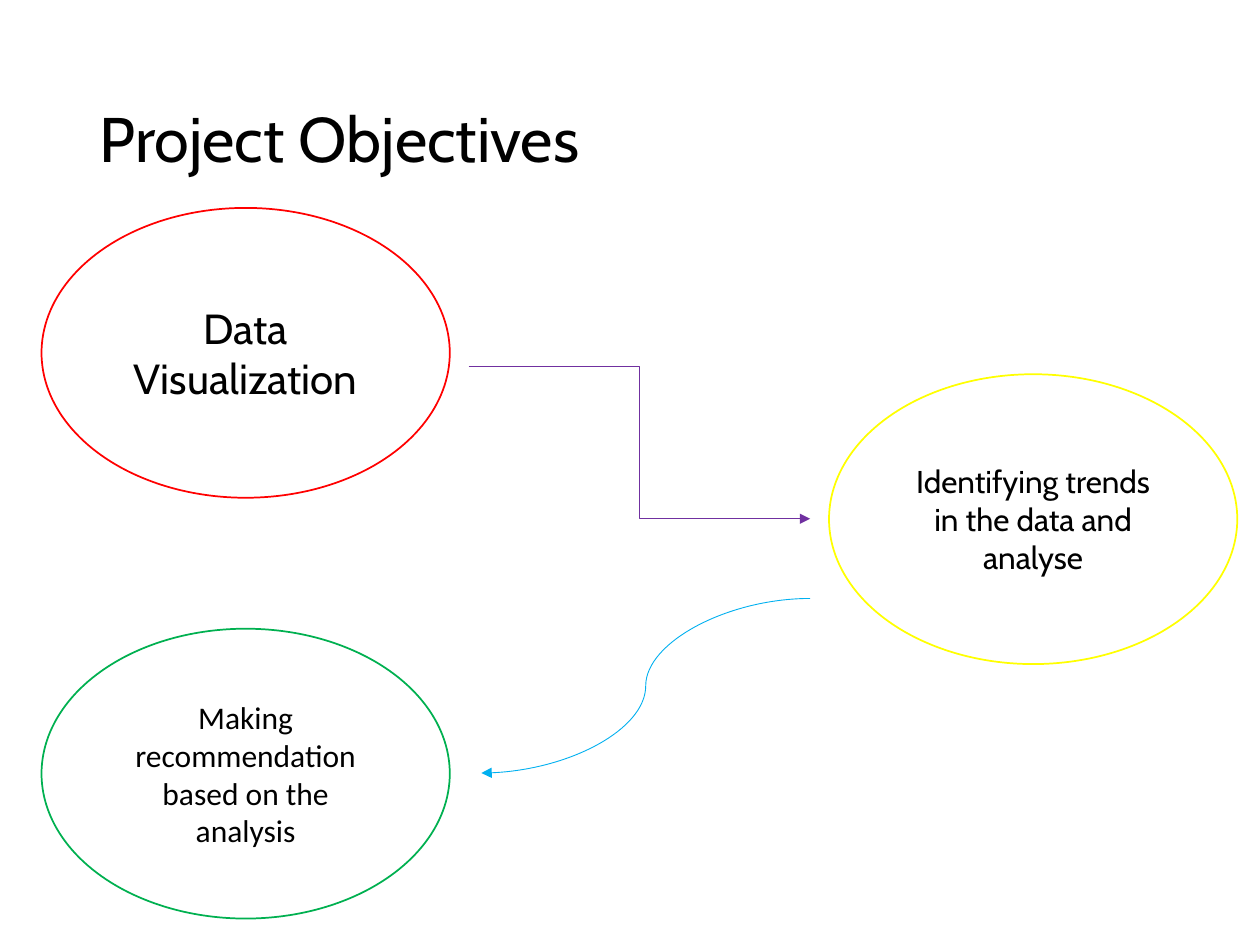
"""Build the Project Objectives slide: three ellipses joined by two arrows."""
import lxml.etree
import pptx
import pptx.dml.color
import pptx.enum.shapes
import pptx.enum.text
import pptx.oxml.ns
import pptx.util

THEME = {
    "text": "000000", "fill": "FFFFFF",
    "red": "FF0000", "yellow": "FFFF00", "green": "00B050",
    "purple": "7030A0", "blue": "00B0F0",
    "title": 36, "large": 24, "body": 18, "outline": 1, "arrow": 0.5,
}
ALIGN = pptx.enum.text.PP_ALIGN
CONNECTOR = pptx.enum.shapes.MSO_CONNECTOR


def rgb(name):
    return pptx.dml.color.RGBColor.from_string(THEME[name])


def write(sp, text, size="body", font="Cabin", align=ALIGN.CENTER, spacing=1.0):
    tf = sp.text_frame
    tf.word_wrap = True
    tf.vertical_anchor = pptx.enum.text.MSO_ANCHOR.MIDDLE
    p = tf.paragraphs[0]
    p.alignment = align
    p.line_spacing = spacing
    r = p.add_run()
    r.text = text
    r.font.name = font
    r.font.size = pptx.util.Pt(THEME[size])
    r.font.color.rgb = rgb("text")


prs = pptx.Presentation()
prs.slide_width = pptx.util.Inches(10)
prs.slide_height = pptx.util.Inches(7.5)
col, row = prs.slide_width / 100, prs.slide_height / 100
s = prs.slides.add_slide(prs.slide_layouts[5])

title = s.shapes.title
title.left, title.top = int(6.9 * col), int(5.33 * row)
title.width, title.height = int(86.2 * col), int(19.33 * row)
write(title, "Project Objectives", size="title", align=ALIGN.LEFT, spacing=0.9)

objectives = [
    (3.3, 22, "red", "Data Visualization", "large", "Cabin"),
    (65.8, 39.6, "yellow", "Identifying trends in the data and analyse", "body", "Cabin"),
    (3.3, 66.53, "green", "Making recommendation based on the analysis", "body", "Calibri"),
]
for x, y, color, text, size, font in objectives:
    sp = s.shapes.add_shape(
        pptx.enum.shapes.MSO_SHAPE.OVAL,
        int(x * col), int(y * row), int(32.4 * col), int(30.67 * row))
    sp.shadow.inherit = False
    sp.fill.solid()
    sp.fill.fore_color.rgb = rgb("fill")
    sp.line.color.rgb = rgb(color)
    sp.line.width = pptx.util.Pt(THEME["outline"])
    write(sp, text, size=size, font=font)

arrows = [
    (CONNECTOR.ELBOW, 37.2, 38.8, 64.3, 54.9, "purple"),
    (CONNECTOR.CURVE, 64.3, 63.33, 38.2, 81.8, "blue"),
]
for kind, x1, y1, x2, y2, color in arrows:
    sp = s.shapes.add_connector(
        kind, int(x1 * col), int(y1 * row), int(x2 * col), int(y2 * row))
    sp.line.color.rgb = rgb(color)
    sp.line.width = pptx.util.Pt(THEME["arrow"])
    ln = sp.line._get_or_add_ln()
    lxml.etree.SubElement(ln, pptx.oxml.ns.qn("a:tailEnd"), type="triangle")
    lxml.etree.SubElement(sp._element.spPr, pptx.oxml.ns.qn("a:effectLst"))

prs.save("out.pptx")
